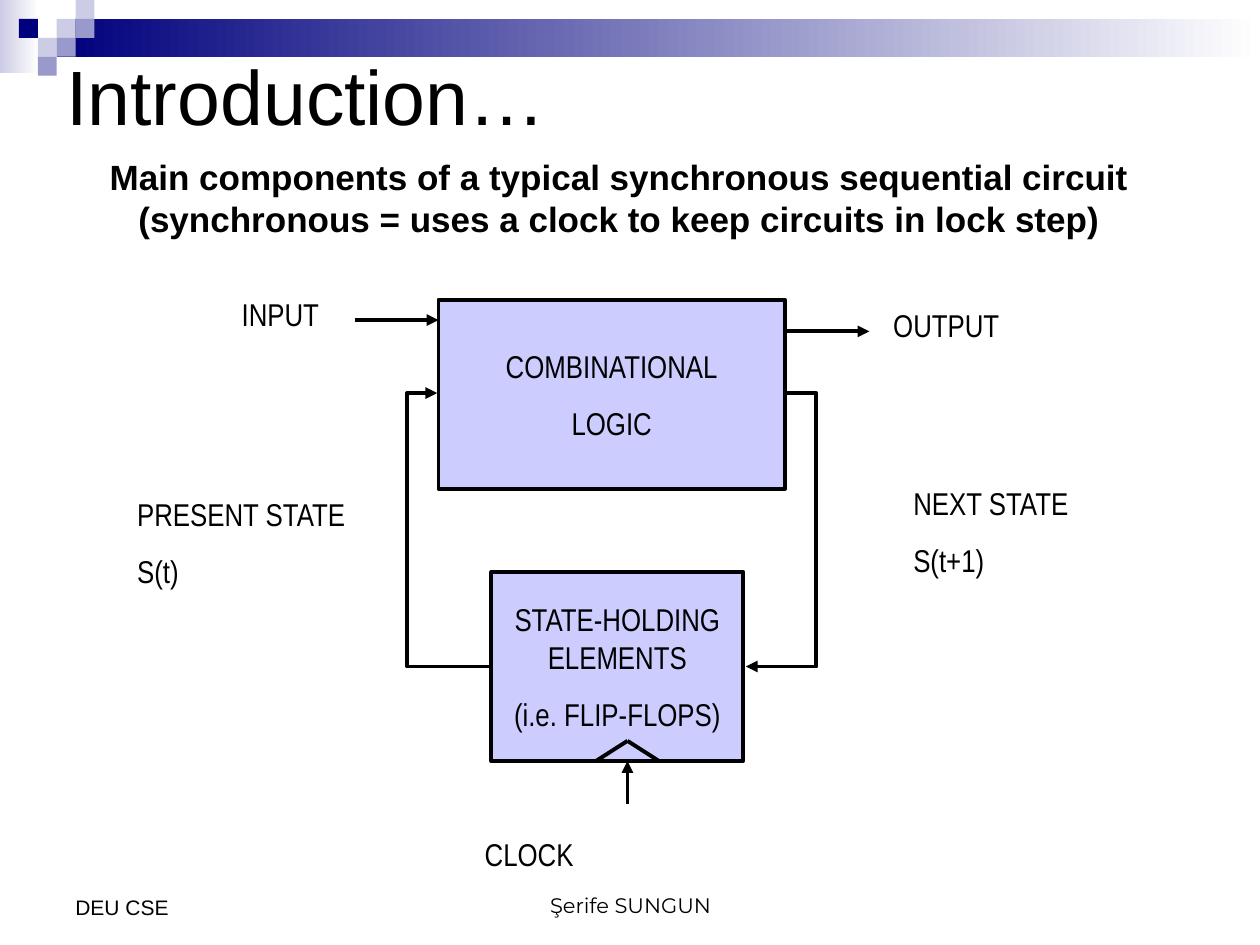
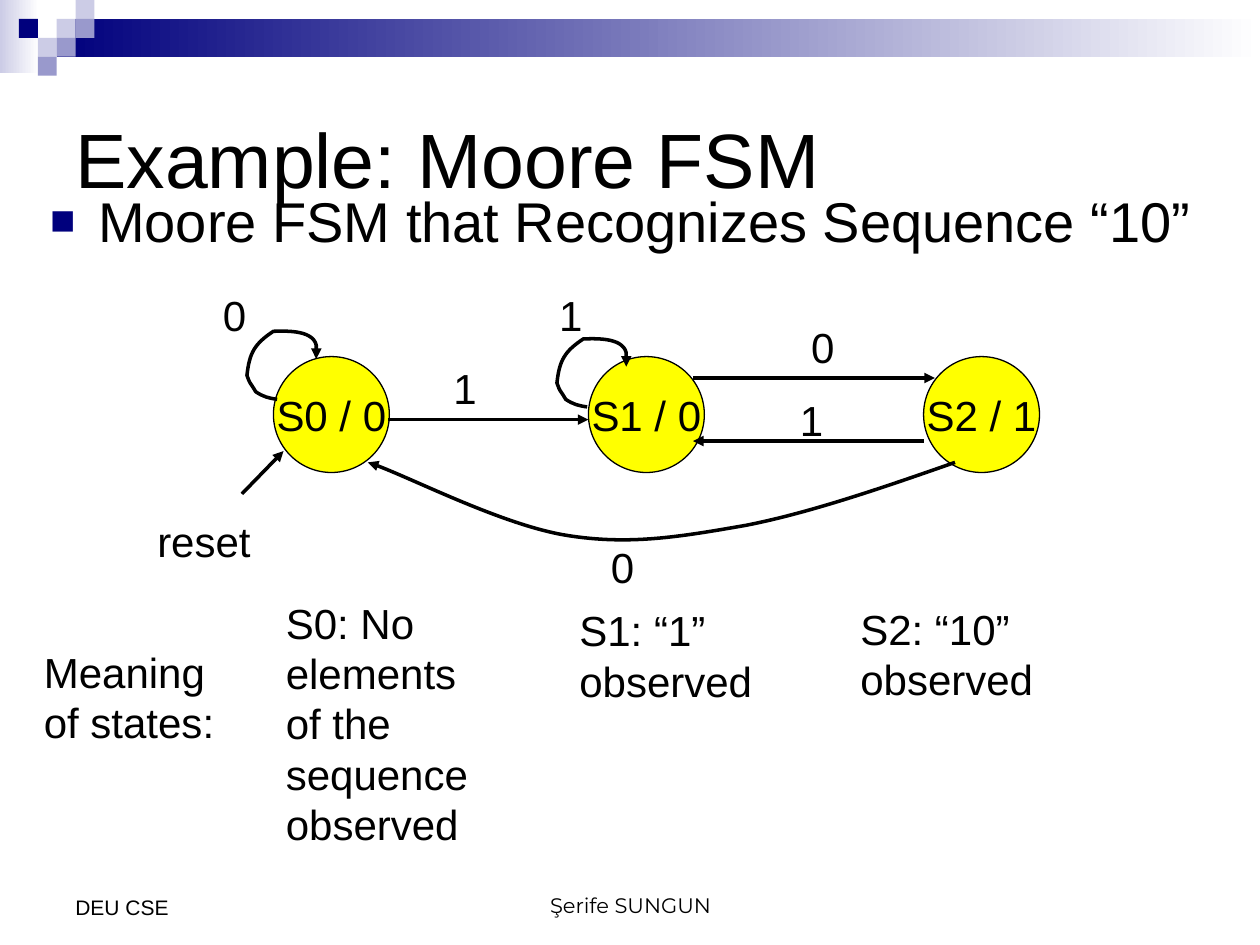
from lxml.etree import SubElement
from pptx import Presentation
from pptx.dml.color import RGBColor
from pptx.enum.shapes import MSO_CONNECTOR, MSO_SHAPE
from pptx.enum.text import MSO_ANCHOR, MSO_AUTO_SIZE, PP_ALIGN
from pptx.oxml.ns import qn
from pptx.util import Inches, Pt

HUES = {
    "ink": "000000",
    "navy": "00007D",
    "mid": "9999CC",
    "pale": "CCCCE6",
    "white": "FFFFFF",
    "block": "CCCCFF",
    "state": "FFFF00",
}
CELL = 0.15
CELLS = [(3, 1, "pale"), (4, 0, "pale"), (4, 1, "mid"), (2, 2, "pale"),
         (1, 1, "navy"), (3, 2, "mid"), (2, 3, "mid")]
LOOP = [(0.24, 0.56), (0.17, 0.55), (0.13, 0.54), (0.07, 0.5),
        (0.01, 0.4), (0.03, 0.45), (0, 0.37),
        (0.02, 0.19), (0.06, 0.12), (0.21, 0.02),
        (0.28, 0.02), (0.52, 0), (0.55, 0.13),
        (0.55, 0.17), (0.55, 0.2), (0.55, 0.24)]
BACK = [(7.58, 3.67), (7.01, 3.87), (6.43, 4.07), (5.92, 4.17),
        (5.4, 4.26), (5, 4.33), (4.5, 4.25),
        (4, 4.17), (3.18, 3.75), (2.92, 3.67)]


def tint(name):
    """Return the named colour."""
    return RGBColor.from_string(HUES[name])


def write(shape, lines, size, face="Arial", align=PP_ALIGN.LEFT, bold=False,
          gap=0, pitch=None, anchor=MSO_ANCHOR.TOP, wrap=True):
    """Fill a shape with one paragraph for each line."""
    frame = shape.text_frame
    frame.word_wrap = wrap
    frame.vertical_anchor = anchor
    for i, line in enumerate(lines):
        para = frame.add_paragraph() if i else frame.paragraphs[0]
        para.alignment = align
        para.space_before = Pt(gap if i else 0)
        if pitch:
            para.line_spacing = pitch
        run = para.add_run()
        run.text = line
        run.font.size = Pt(size)
        run.font.name = face
        run.font.bold = bold
        run.font.color.rgb = tint("ink")


def text(slide, at, lines, size, **style):
    """Add a text box."""
    box = slide.shapes.add_textbox(*map(Inches, at))
    write(box, lines, size, **style)
    return box


def label(slide, at, lines, size=24, **style):
    """Add a text box that fits its unwrapped lines."""
    box = text(slide, at, lines, size, wrap=False, **style)
    box.text_frame.auto_size = MSO_AUTO_SIZE.SHAPE_TO_FIT_TEXT


def tag(slide, at, lines, align=PP_ALIGN.CENTER):
    """Add a narrow label of the circuit."""
    label(slide, at, lines, 18, face="Arial Narrow", align=align, gap=11.2)


def form(slide, kind, at, fill, width=0):
    """Add a filled shape, outlined if a width is given."""
    shape = slide.shapes.add_shape(kind, *map(Inches, at))
    shape.shadow.inherit = False
    shape.fill.solid()
    shape.fill.fore_color.rgb = tint(fill)
    if width:
        shape.line.color.rgb = tint("ink")
        shape.line.width = Pt(width)
    else:
        shape.line.fill.background()
    return shape


def fade(slide, at, start):
    """Add a bar that fades to white from left to right."""
    bar = form(slide, MSO_SHAPE.RECTANGLE, at, start)
    bar.fill.gradient()
    bar.fill.gradient_angle = 0
    for stop, name in zip(bar.fill.gradient_stops, (start, "white")):
        stop.color.rgb = tint(name)


def block(slide, at, lines):
    """Add a box of the circuit."""
    box = form(slide, MSO_SHAPE.RECTANGLE, at, "block", 2.25)
    write(box, lines, 18, face="Arial Narrow", align=PP_ALIGN.CENTER,
          gap=11.2, anchor=MSO_ANCHOR.MIDDLE)


def state(slide, left, name):
    """Add a state circle."""
    disc = form(slide, MSO_SHAPE.OVAL, (left, 2.83, 0.92, 0.92), "state", 0.75)
    write(disc, [name], 24, align=PP_ALIGN.CENTER,
          anchor=MSO_ANCHOR.MIDDLE, wrap=False)


def stroke(shape, width, head=True):
    """Set a black line, with an arrowhead at its end if asked."""
    shape.line.color.rgb = tint("ink")
    shape.line.width = Pt(width)
    if head:
        SubElement(shape.line._get_or_add_ln(), qn("a:tailEnd"), type="triangle")


def link(slide, start, end, width, head=True, turn=None):
    """Add a straight line, or an elbow that turns at the given x."""
    kind = MSO_CONNECTOR.STRAIGHT if turn is None else MSO_CONNECTOR.ELBOW
    line = slide.shapes.add_connector(kind, *map(Inches, start + end))
    stroke(line, width, head)
    props = line._element.spPr
    SubElement(props, qn("a:effectLst"))
    if turn is not None:
        geom = props.find(qn("a:prstGeom"))
        bends = geom.find(qn("a:avLst"))
        if bends is None:
            bends = SubElement(geom, qn("a:avLst"))
        share = round((turn - start[0]) / (end[0] - start[0]) * 100000)
        SubElement(bends, qn("a:gd"), name="adj1", fmla=f"val {share}")


def curve(slide, knots, left=0, top=0):
    """Add a curved arrow through chained cubic knots."""
    spots = [(Inches(left + x), Inches(top + y)) for x, y in knots]
    pen = slide.shapes.build_freeform(*spots[0])
    pen.add_line_segments(spots[1:], close=False)
    shape = pen.convert_to_shape()
    shape.shadow.inherit = False
    shape.fill.background()
    stroke(shape, 2)
    legs = list(shape._element.iter(qn("a:lnTo")))
    route = legs[0].getparent()
    for i in range(0, len(legs), 3):
        bend = SubElement(route, qn("a:cubicBezTo"))
        for leg in legs[i:i + 3]:
            bend.append(leg[0])
            route.remove(leg)


def bullet(para):
    """Give a paragraph a hanging square bullet."""
    props = para._p.get_or_add_pPr()
    props.set("marL", str(Inches(0.38)))
    props.set("indent", str(-Inches(0.38)))
    hue = SubElement(props, qn("a:buClr"))
    SubElement(hue, qn("a:srgbClr"), val=HUES["navy"])
    SubElement(props, qn("a:buSzPct"), val="75000")
    SubElement(props, qn("a:buFont"), typeface="Arial")
    SubElement(props, qn("a:buChar"), char="■")


def begin(deck, title, left, top):
    """Add a slide with its band, footers and title."""
    slide = deck.slides.add_slide(deck.slide_layouts[6])
    fade(slide, (0, 0, 0.31, 0.58), "pale")
    fade(slide, (0.45, 0.15, 9.55, 0.3), "navy")
    for col, row, fill in CELLS:
        at = (col * CELL, row * CELL, CELL, CELL)
        form(slide, MSO_SHAPE.RECTANGLE, at, fill)
    text(slide, (3.42, 6.83, 3.17, 0.5), ["Şerife SUNGUN"], 12,
         face="Montserrat", align=PP_ALIGN.CENTER, anchor=MSO_ANCHOR.BOTTOM)
    text(slide, (0.5, 6.83, 2.33, 0.52), ["DEU CSE"], 12,
         anchor=MSO_ANCHOR.BOTTOM)
    text(slide, (left, top, 9, 1.5), [title], 44, anchor=MSO_ANCHOR.MIDDLE)
    return slide


def circuit(deck):
    """Build the slide on the synchronous circuit."""
    slide = begin(deck, "Introduction…", 0.43, 0)
    text(slide, (0.33, 1.25, 9.17, 0.75),
         ["Main components of a typical synchronous sequential circuit",
          "(synchronous = uses a clock to keep circuits in lock step)"],
         20, align=PP_ALIGN.CENTER, bold=True, gap=5, pitch=0.8)
    block(slide, (3.48, 2.38, 2.75, 1.5), ["COMBINATIONAL", "LOGIC"])
    block(slide, (3.9, 4.54, 2, 1.5),
          ["STATE-HOLDING ELEMENTS", "(i.e. FLIP-FLOPS)"])
    for start, end, turn in [
            ((4.98, 6.38), (4.98, 6.04), None),
            ((6.25, 3.12), (5.92, 5.29), 6.48),
            ((3.89, 5.29), (3.47, 3.12), 3.23),
            ((6.23, 2.63), (6.9, 2.63), None),
            ((2.82, 2.54), (3.48, 2.54), None)]:
        link(slide, start, end, 2.25, turn=turn)
    for foot in (4.73, 5.23):
        link(slide, (foot, 6.04), (4.98, 5.88), 2.25, head=False)
    tag(slide, (3.73, 6.58, 0.94, 0.4), ["CLOCK"])
    tag(slide, (1.8, 2.29, 0.85, 0.4), ["INPUT"])
    tag(slide, (6.97, 2.38, 1.08, 0.4), ["OUTPUT"])
    tag(slide, (7.15, 3.79, 1.5, 0.86), ["NEXT STATE", "S(t+1)"], PP_ALIGN.LEFT)
    tag(slide, (0.99, 3.88, 1.92, 0.86), ["PRESENT STATE", "S(t)"], PP_ALIGN.LEFT)


def moore(deck):
    """Build the slide on the Moore machine."""
    slide = begin(deck, "Example: Moore FSM", 0.5, 0.5)
    body = text(slide, (0.3, 1.43, 9.42, 5.5),
                ["Moore FSM that Recognizes Sequence “10”"], 32)
    bullet(body.text_frame.paragraphs[0])
    for left, name in [(2.17, "S0 / 0"), (4.67, "S1 / 0"), (7.33, "S2 / 1")]:
        state(slide, left, name)
    curve(slide, LOOP, 1.96, 2.61)
    curve(slide, LOOP, 4.42, 2.67)
    curve(slide, BACK)
    for start, end in [((3.08, 3.33), (4.67, 3.33)), ((5.5, 3), (7.42, 3)),
                       ((7.33, 3.5), (5.5, 3.5)), ((1.92, 3.92), (2.25, 3.58))]:
        link(slide, start, end, 2)
    for left, top, bit in [(1.67, 2.25, "0"), (6.34, 2.5, "0"),
                           (4.75, 4.25, "0"), (4.34, 2.25, "1"),
                           (3.5, 2.83, "1"), (6.25, 3.08, "1")]:
        label(slide, (left, top, 0.4, 0.5), [bit])
    label(slide, (1.15, 4.04, 0.97, 0.5), ["reset"])
    label(slide, (0.25, 5.08, 1.6, 0.9), ["Meaning", "of states:"])
    label(slide, (2.17, 4.69, 1.68, 2.1),
          ["S0: No", "elements", "of the", "sequence", "observed"])
    label(slide, (4.5, 4.75, 1.6, 0.9), ["S1: “1”", "observed"])
    label(slide, (6.73, 4.74, 1.6, 0.9), ["S2: “10”", "observed"])


def main():
    """Build and save the deck."""
    deck = Presentation()
    deck.slide_width = Inches(10)
    deck.slide_height = Inches(7.5)
    circuit(deck)
    moore(deck)
    deck.save("out.pptx")


if __name__ == "__main__":
    main()
